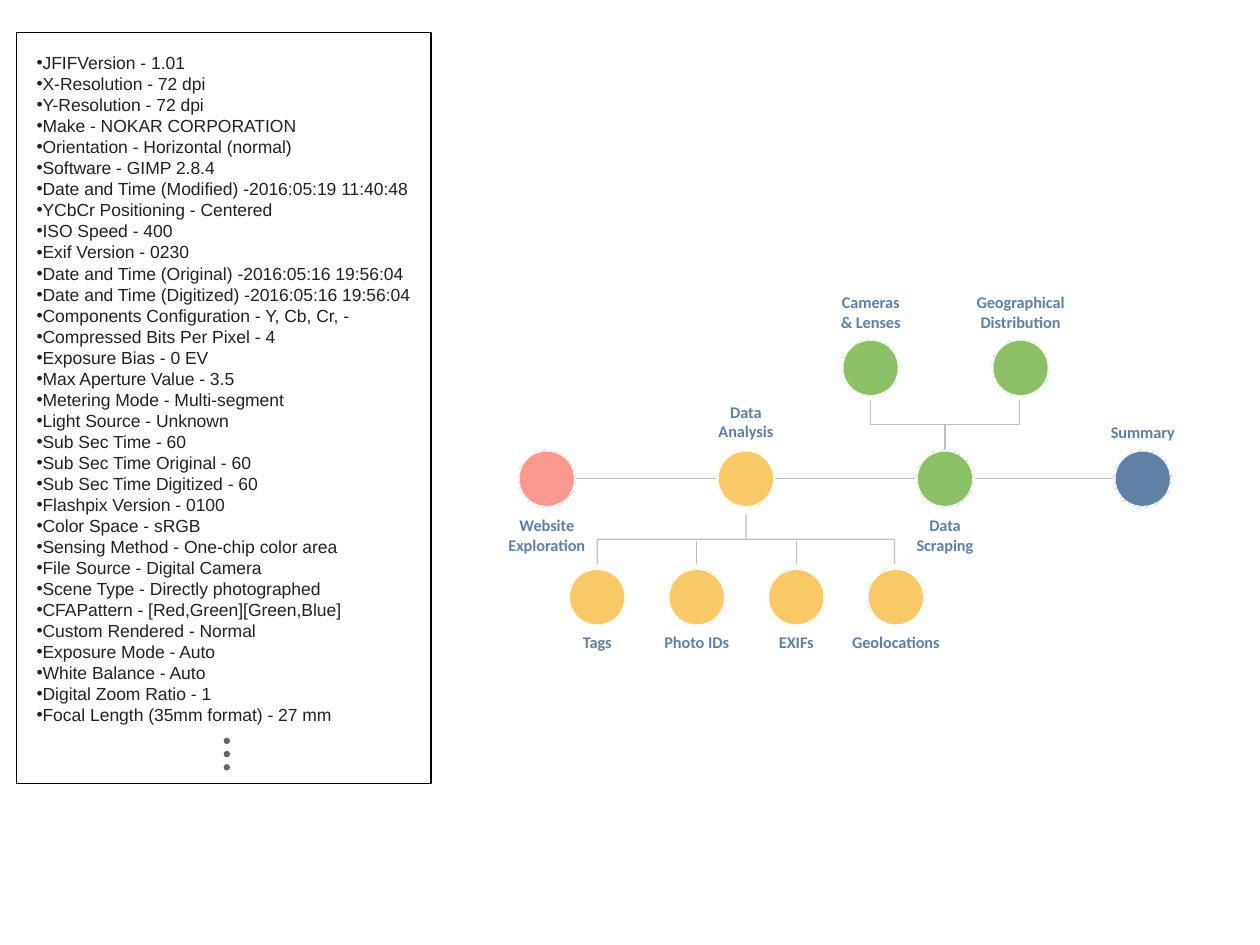
from dataclasses import dataclass

import lxml.etree
import pptx
import pptx.dml.color
import pptx.enum.dml
import pptx.enum.shapes
import pptx.enum.text
import pptx.oxml.ns
import pptx.util
from pptx.util import Inches

COLORS = {
    "pink": "FB998F", "pink_hatch": "FA6F60", "yellow": "F9C967",
    "green": "8CC066", "blue": "6080A6", "line": "BFBFBF",
    "text": "212124", "black": "000000", "white": "FFFFFF",
}
SHAPE = pptx.enum.shapes.MSO_SHAPE
RING, DISC, DOT = 0.47, 0.43, 0.05
MAIN_Y, LEAF_Y, TOP_Y = 3.8, 4.74, 2.92

METADATA = [
    "JFIFVersion - 1.01",
    "X-Resolution - 72 dpi",
    "Y-Resolution - 72 dpi",
    "Make - NOKAR CORPORATION",
    "Orientation - Horizontal (normal)",
    "Software - GIMP 2.8.4",
    "Date and Time (Modified) -2016:05:19 11:40:48",
    "YCbCr Positioning - Centered",
    "ISO Speed - 400",
    "Exif Version - 0230",
    "Date and Time (Original) -2016:05:16 19:56:04",
    "Date and Time (Digitized) -2016:05:16 19:56:04",
    "Components Configuration - Y, Cb, Cr, -",
    "Compressed Bits Per Pixel - 4",
    "Exposure Bias - 0 EV",
    "Max Aperture Value - 3.5",
    "Metering Mode - Multi-segment",
    "Light Source - Unknown",
    "Sub Sec Time - 60",
    "Sub Sec Time Original - 60",
    "Sub Sec Time Digitized - 60",
    "Flashpix Version - 0100",
    "Color Space - sRGB",
    "Sensing Method - One-chip color area",
    "File Source - Digital Camera",
    "Scene Type - Directly photographed",
    "CFAPattern - [Red,Green][Green,Blue]",
    "Custom Rendered - Normal",
    "Exposure Mode - Auto",
    "White Balance - Auto",
    "Digital Zoom Ratio - 1",
    "Focal Length (35mm format) - 27 mm",
]


@dataclass
class Node:
    label: str
    x: float
    y: float
    color: str
    label_top: float
    label_width: float
    hatch: str = ""


@dataclass
class Brace:
    x: float
    y: float
    span: float
    rotation: int


NODES = [
    Node("Website Exploration", 4.34, MAIN_Y, "pink", 4.04, 0.88, "pink_hatch"),
    Node("Data Analysis", 5.92, MAIN_Y, "yellow", 3.14, 0.82),
    Node("Data Scraping", 7.5, MAIN_Y, "green", 4.04, 0.88),
    Node("Summary", 9.07, MAIN_Y, "blue", 3.3, 0.72),
    Node("Tags", 4.74, LEAF_Y, "yellow", 4.97, 0.61),
    Node("Photo IDs", 5.53, LEAF_Y, "yellow", 4.97, 0.73),
    Node("EXIFs", 6.32, LEAF_Y, "yellow", 4.97, 0.53),
    Node("Geolocations", 7.11, LEAF_Y, "yellow", 4.97, 0.91),
    Node("Cameras & Lenses", 6.91, TOP_Y, "green", 2.27, 0.72),
    Node("Geographical Distribution", 8.1, TOP_Y, "green", 2.27, 0.94),
]
ONE_LINE = {"Summary", "Tags", "Photo IDs", "EXIFs", "Geolocations"}
BRACES = [Brace(5.92, 4.28, 2.36, 90), Brace(7.5, 3.37, 1.18, 270)]


def rgb(name: str) -> pptx.dml.color.RGBColor:
    return pptx.dml.color.RGBColor.from_string(COLORS[name])


def add_circle(shapes, x: float, y: float, size: float):
    sp = shapes.add_shape(SHAPE.OVAL, Inches(x - size / 2), Inches(y - size / 2),
                          Inches(size), Inches(size))
    sp.shadow.inherit = False
    sp.line.fill.background()
    return sp


def add_node(shapes, node: Node) -> None:
    group = shapes.add_group_shape()
    fill = add_circle(group.shapes, node.x, node.y, RING).fill
    fill.patterned()
    fill.pattern = pptx.enum.dml.MSO_PATTERN.WIDE_UPWARD_DIAGONAL
    fill.fore_color.rgb = rgb(node.hatch or node.color)
    fill.back_color.rgb = rgb("white")
    disc = add_circle(group.shapes, node.x, node.y, DISC)
    disc.fill.solid()
    disc.fill.fore_color.rgb = rgb(node.color)


def add_label(shapes, node: Node) -> None:
    one_line = node.label in ONE_LINE
    sp = shapes.add_textbox(Inches(node.x - node.label_width / 2), Inches(node.label_top),
                            Inches(node.label_width), Inches(0.26 if one_line else 0.42))
    tf = sp.text_frame
    tf.word_wrap = not one_line
    p = tf.paragraphs[0]
    p.alignment = pptx.enum.text.PP_ALIGN.CENTER
    r = p.add_run()
    r.text = node.label
    r.font.name = "Calibri"
    r.font.size = pptx.util.Pt(9.3)
    r.font.bold = True
    r.font.color.rgb = rgb("blue")


def add_brace(shapes, brace: Brace) -> None:
    depth = 0.39
    sp = shapes.add_shape(SHAPE.LEFT_BRACE, Inches(brace.x - depth / 2),
                          Inches(brace.y - brace.span / 2), Inches(depth), Inches(brace.span))
    sp.adjustments[0] = 0
    sp.rotation = brace.rotation
    sp.shadow.inherit = False
    sp.fill.background()
    sp.line.color.rgb = rgb("line")
    sp.line.width = pptx.util.Pt(0.75)


def add_line(shapes, x1: float, y1: float, x2: float, y2: float) -> None:
    line = shapes.add_connector(pptx.enum.shapes.MSO_CONNECTOR.STRAIGHT,
                                Inches(x1), Inches(y1), Inches(x2), Inches(y2))
    line.line.color.rgb = rgb("line")
    line.line.width = pptx.util.Pt(0.75)
    lxml.etree.SubElement(line._element.spPr, pptx.oxml.ns.qn("a:effectLst"))


def add_dots(shapes) -> None:
    group = shapes.add_group_shape()
    for i in range(3):
        dot = add_circle(group.shapes, 1.8, 5.88 + i * 0.105, DOT)
        dot.fill.solid()
        dot.fill.fore_color.rgb = rgb("black")
        color = dot._element.spPr.find(".//" + pptx.oxml.ns.qn("a:srgbClr"))
        lxml.etree.SubElement(color, pptx.oxml.ns.qn("a:alpha"), val="60000")


def add_frame(shapes) -> None:
    sp = shapes.add_shape(SHAPE.RECTANGLE, Inches(0.13), Inches(0.26), Inches(3.29), Inches(5.96))
    sp.shadow.inherit = False
    sp.fill.background()
    sp.line.color.rgb = rgb("black")
    sp.line.width = pptx.util.Pt(0.75)


def fill_list(body, items: list[str]) -> None:
    body.left, body.top = Inches(0.29), Inches(0.4)
    body.width, body.height = Inches(3.1), Inches(5.4)
    tf = body.text_frame
    tf.word_wrap = True
    tf.auto_size = pptx.enum.text.MSO_AUTO_SIZE.NONE
    tf.vertical_anchor = pptx.enum.text.MSO_ANCHOR.MIDDLE
    tf.margin_left = tf.margin_right = tf.margin_top = 0
    tf.margin_bottom = Inches(0.03)
    for i, item in enumerate(items):
        p = tf.add_paragraph() if i else tf.paragraphs[0]
        p.space_before = pptx.util.Pt(0)
        pPr = p._p.get_or_add_pPr()
        pPr.set("marL", "0")
        pPr.set("indent", "0")
        lxml.etree.SubElement(pPr, pptx.oxml.ns.qn("a:buChar"), char="•")
        r = p.add_run()
        r.text = item
        r.font.name = "Arial"
        r.font.size = pptx.util.Pt(10)
        r.font.color.rgb = rgb("text")


def main() -> None:
    prs = pptx.Presentation()
    prs.slide_width, prs.slide_height = Inches(10), Inches(7.5)
    s = prs.slides.add_slide(prs.slide_layouts[1])
    title = s.shapes.title._element
    title.getparent().remove(title)
    for node in NODES:
        add_node(s.shapes, node)
    for brace in BRACES:
        add_brace(s.shapes, brace)
    for left, right in zip(NODES[:3], NODES[1:4]):
        add_line(s.shapes, left.x + RING / 2, MAIN_Y, right.x - RING / 2, MAIN_Y)
    for leaf in NODES[5:7]:
        add_line(s.shapes, leaf.x, 4.48, leaf.x, 4.29)
    for node in NODES:
        add_label(s.shapes, node)
    add_dots(s.shapes)
    add_frame(s.shapes)
    fill_list(s.placeholders[1], METADATA)
    prs.save("out.pptx")


if __name__ == "__main__":
    main()
